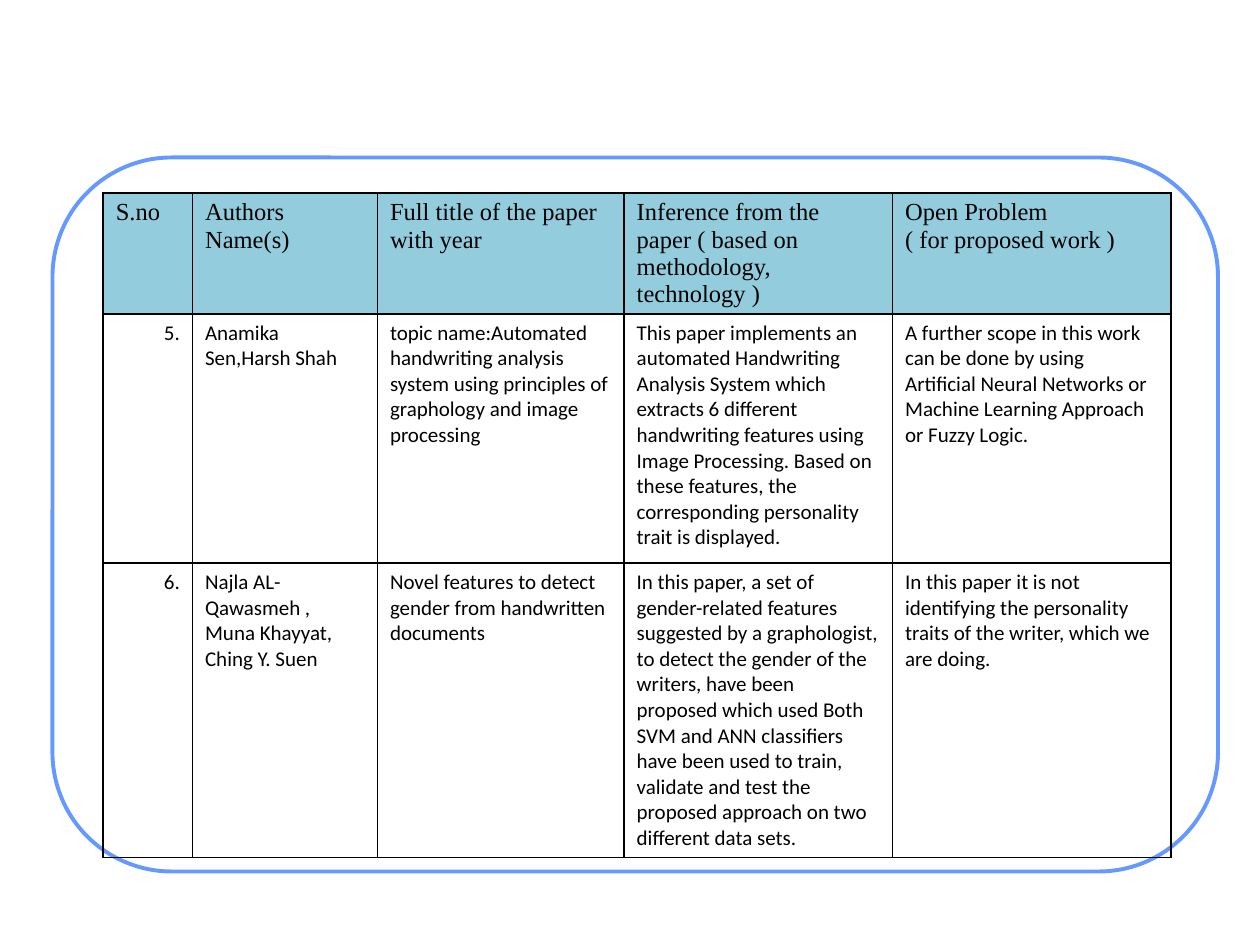
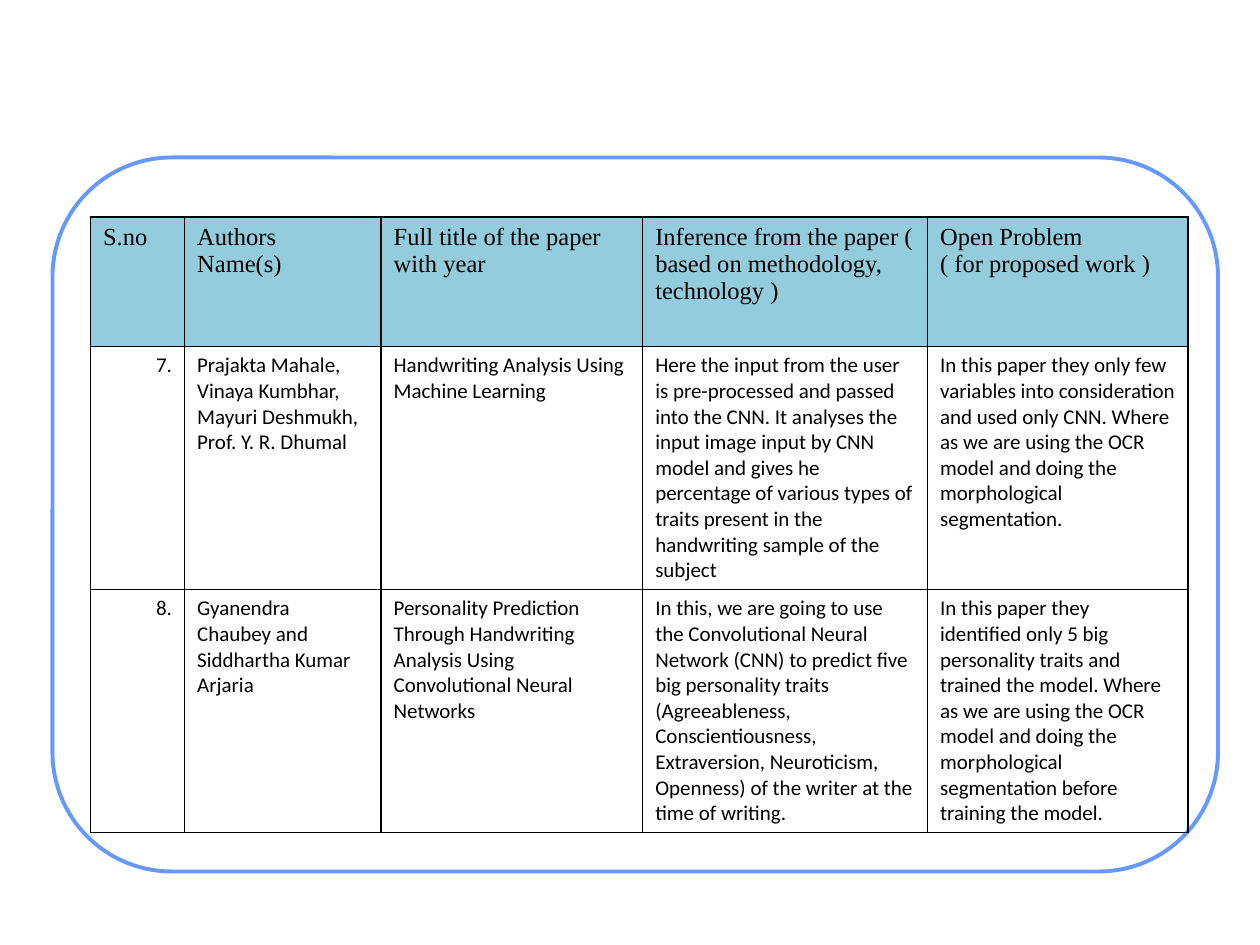
from lxml import etree
from pptx import Presentation
from pptx.dml.color import RGBColor
from pptx.enum.shapes import MSO_SHAPE
from pptx.enum.text import PP_ALIGN
from pptx.oxml.ns import qn
from pptx.util import Pt

ROUNDED = MSO_SHAPE.ROUNDED_RECTANGLE
LEFT, RIGHT = PP_ALIGN.LEFT, PP_ALIGN.RIGHT
BLANK_LAYOUT = 6
COLOURS = {"paper": "FFFFFF", "frame": "6699FF", "header": "93CDDD", "ink": "000000"}
HEADER_FONT = ("Times New Roman", 14)
BODY_FONT = ("Calibri", 12)
FRAME_BOX = (30, 90, 666, 408)
HEADINGS = [
    "S.no",
    "Authors\nName(s)",
    "Full title of the paper with year",
    "Inference from the paper ( based on methodology, technology ) ",
    "Open Problem\n( for proposed work )",
]

SURVEYS = [
    {
        "origin": (59, 110.2),
        "widths": [51, 105.7, 141, 153.4, 159],
        "heights": [68.7, 142.5, 168],
        "papers": [
            ["5.", "Anamika Sen,Harsh Shah",
             "topic name:Automated handwriting analysis system using principles of "
             "graphology and image processing",
             "This paper implements an automated Handwriting Analysis System which extracts "
             "6 different handwriting features using Image Processing. Based on these "
             "features, the corresponding personality trait is displayed.",
             "A further scope in this work can be done by using Artificial Neural Networks "
             "or Machine Learning Approach or Fuzzy Logic."],
            ["6.", "Najla AL-Qawasmeh , Muna Khayyat, Ching Y. Suen",
             "Novel features to detect gender from handwritten documents",
             "In this paper, a set of gender-related features suggested by a graphologist, "
             "to detect the gender of the writers, have been proposed which used Both SVM "
             "and ANN classifiers have been used to train, validate and test the proposed "
             "approach on two different data sets.",
             "In this paper it is not identifying the personality traits of the writer, "
             "which we are doing."],
        ],
    },
    {
        "origin": (51.7, 124.1),
        "widths": [53.8, 112.3, 149.5, 162.8, 148.8],
        "heights": [74, 138.8, 138.8],
        "papers": [
            ["7.", "Prajakta Mahale, Vinaya Kumbhar, Mayuri Deshmukh, Prof. Y. R. Dhumal",
             "Handwriting Analysis Using Machine Learning",
             "Here the input from the user is pre-processed and passed into the CNN. It "
             "analyses the input image input by CNN model and gives he percentage of various "
             "types of traits present in the handwriting sample of the subject",
             "In this paper they only few variables into consideration and used only CNN. "
             "Where as we are using the OCR model and doing the morphological segmentation."],
            ["8.", "Gyanendra Chaubey and Siddhartha Kumar Arjaria",
             "Personality Prediction Through Handwriting Analysis Using Convolutional "
             "Neural Networks",
             "In this, we are going to use the Convolutional Neural Network (CNN) to predict "
             "five big personality traits (Agreeableness, Conscientiousness, Extraversion, "
             "Neuroticism, Openness) of the writer at the time of writing.",
             "In this paper they identified only 5 big personality traits and trained the "
             "model. Where as we are using the OCR model and doing the morphological "
             "segmentation before training the model."],
        ],
    },
]


def colour(name):
    """Return the named colour."""
    return RGBColor.from_string(COLOURS[name])


def add_frame(page, box):
    """Draw the rounded outline that surrounds the content."""
    frame = page.shapes.add_shape(ROUNDED, *map(Pt, box))
    frame.adjustments[0] = 0.167
    frame.shadow.inherit = False
    frame.fill.solid()
    frame.fill.fore_color.rgb = colour("paper")
    frame.line.color.rgb = colour("frame")
    frame.line.width = Pt(2.25)


def add_borders(cell):
    """Rule all four sides of a cell, ahead of its fill."""
    properties = cell._tc.get_or_add_tcPr()
    for position, side in enumerate(("lnL", "lnR", "lnT", "lnB")):
        line = etree.Element(qn(f"a:{side}"), w=str(Pt(1)))
        fill = etree.SubElement(line, qn("a:solidFill"))
        etree.SubElement(fill, qn("a:srgbClr"), val=COLOURS["ink"])
        properties.insert(position, line)


def fill_cell(cell, text, is_header, alignment):
    """Write and format one table cell."""
    cell.text = text
    if is_header:
        cell.fill.solid()
        cell.fill.fore_color.rgb = colour("header")
    else:
        cell.fill.background()
    add_borders(cell)
    name, size = HEADER_FONT if is_header else BODY_FONT
    for paragraph in cell.text_frame.paragraphs:
        paragraph.alignment = alignment
        paragraph.font.name = name
        paragraph.font.size = Pt(size)
        paragraph.font.color.rgb = colour("ink")


def add_survey_table(page, origin, widths, heights, papers):
    """Place the literature table at its origin."""
    rows = [HEADINGS, *papers]
    box = (*origin, sum(widths), sum(heights))
    table = page.shapes.add_table(len(rows), len(widths), *map(Pt, box)).table
    table.first_row = False
    table.horz_banding = False
    for column, width in zip(table.columns, widths):
        column.width = Pt(width)
    for row_number, (row, height, texts) in enumerate(zip(table.rows, heights, rows)):
        row.height = Pt(height)
        for column_number, (cell, text) in enumerate(zip(row.cells, texts)):
            is_header = row_number == 0
            is_serial = column_number == 0 and not is_header
            fill_cell(cell, text, is_header, RIGHT if is_serial else LEFT)


def add_survey_page(deck, survey):
    """Add a framed page with one literature table."""
    page = deck.slides.add_slide(deck.slide_layouts[BLANK_LAYOUT])
    add_frame(page, FRAME_BOX)
    add_survey_table(page, **survey)


def main():
    """Build and save the deck."""
    deck = Presentation()
    deck.slide_width, deck.slide_height = Pt(720), Pt(540)
    for survey in SURVEYS:
        add_survey_page(deck, survey)
    deck.save("out.pptx")


if __name__ == "__main__":
    main()
